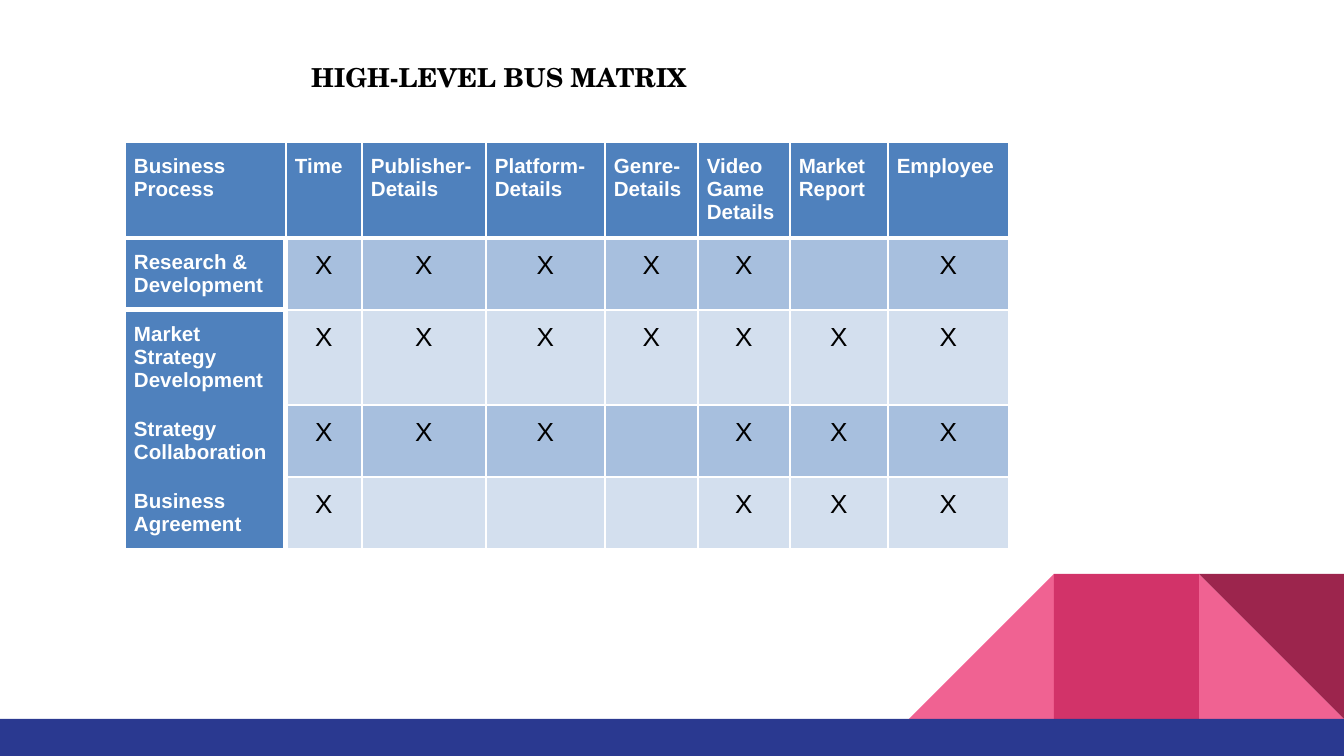
"""Build the high-level bus matrix slide."""
from dataclasses import dataclass
from lxml.etree import SubElement
from pptx import Presentation
from pptx.dml.color import RGBColor
from pptx.enum.shapes import MSO_SHAPE
from pptx.enum.text import MSO_ANCHOR, PP_ALIGN
from pptx.oxml.ns import qn
from pptx.util import Emu, Pt


@dataclass(frozen=True)
class Theme:
    white: str = "FFFFFF"
    black: str = "000000"
    head: str = "4F81BD"
    bands: tuple = ("A7BFDE", "D3DFEE")
    pink: str = "F06292"
    rose: str = "D23369"
    wine: str = "9C254D"
    navy: str = "2A3990"
    title_font: str = "TeX Gyre Schola"
    body_font: str = "Arial"
    title_size: int = 14
    label_size: int = 11
    mark_size: int = 14


T = Theme()
HEADERS = ["Business Process", "Time", "Publisher-Details", "Platform-Details",
           "Genre-Details", "Video Game Details", "Market Report", "Employee"]
PROCESSES = [
    ("Research & Development", "XXXXX X"),
    ("Market Strategy Development", "XXXXXXX"),
    ("Strategy Collaboration", "XXX XXX"),
    ("Business Agreement", "X   XXX"),
]
COL_WIDTHS = [161, 76, 124, 119, 93, 92, 98, 121]
ROW_HEIGHTS = [96, 72, 95, 72, 72]


def px(n):
    return Emu(round(n * 9144000 / 1344))


def style_run(p, font, size, color, bold):
    for r in p.runs:
        r.font.name = font
        r.font.size = Pt(size)
        r.font.bold = bold
        r.font.color.rgb = RGBColor.from_string(color)


prs = Presentation()
prs.slide_width, prs.slide_height = px(1344), px(756)
s = prs.slides.add_slide(prs.slide_layouts[5])

title = s.shapes.title
title.left, title.top, title.width, title.height = px(298), px(54), px(441), px(46)
tf = title.text_frame
tf.text = "HIGH-LEVEL BUS MATRIX"
tf.word_wrap = True
tf.vertical_anchor = MSO_ANCHOR.MIDDLE
tf.margin_left = tf.margin_right = px(13)
tf.margin_top = tf.margin_bottom = 0
tf.paragraphs[0].alignment = PP_ALIGN.LEFT
style_run(tf.paragraphs[0], T.title_font, T.title_size, T.black, True)

side, top = 145, 574
for kind, x, y, w, h, rotation, color in [
    (MSO_SHAPE.RIGHT_TRIANGLE, 1344 - side, top, side, side, 0, T.pink),
    (MSO_SHAPE.RIGHT_TRIANGLE, 1344 - 3 * side, top, side, side, 270, T.pink),
    (MSO_SHAPE.RECTANGLE, 1344 - 2 * side, top, side, side, 0, T.rose),
    (MSO_SHAPE.RIGHT_TRIANGLE, 1344 - side, top, side, side, 180, T.wine),
    (MSO_SHAPE.RECTANGLE, 0, top + side, 1344, 37, 0, T.navy),
]:
    sp = s.shapes.add_shape(kind, px(x), px(y), px(w), px(h))
    sp.rotation = rotation
    sp.shadow.inherit = False
    sp.fill.solid()
    sp.fill.fore_color.rgb = RGBColor.from_string(color)
    sp.line.fill.background()

rows = [HEADERS] + [[name, *marks] for name, marks in PROCESSES]
table = s.shapes.add_table(len(rows), len(HEADERS), px(125), px(142),
                           px(sum(COL_WIDTHS)), px(sum(ROW_HEIGHTS))).table
for column, width in zip(table.columns, COL_WIDTHS):
    column.width = px(width)
for row, height in zip(table.rows, ROW_HEIGHTS):
    row.height = px(height)

for i, values in enumerate(rows):
    for j, value in enumerate(values):
        cell = table.cell(i, j)
        label = i == 0 or j == 0
        cell.margin_left = cell.margin_right = px(9)
        cell.margin_top = cell.margin_bottom = px(13)
        cell.text = value.strip()
        p = cell.text_frame.paragraphs[0]
        p.alignment = PP_ALIGN.LEFT if label else PP_ALIGN.CENTER
        style_run(p, T.body_font, T.label_size if label else T.mark_size,
                  T.white if label else T.black, label)

        across = [1, 3, 3, 0, 0, 1] if j == 0 else [1, 3, 1, 1, 1, 1]
        down = [1, 3 if i else 1] + [1] * (len(HEADERS) - 1)
        tc_pr = cell._tc.get_or_add_tcPr()
        for tag, width in [("a:lnL", down[j]), ("a:lnR", down[j + 1]),
                           ("a:lnT", across[i]), ("a:lnB", across[i + 1])]:
            ln = SubElement(tc_pr, qn(tag), w=str(Pt(width)))
            if width:
                fill = SubElement(ln, qn("a:solidFill"))
                SubElement(fill, qn("a:srgbClr"), val=T.white)
            else:
                SubElement(ln, qn("a:noFill"))
        cell.fill.solid()
        color = T.head if label else T.bands[(i - 1) % 2]
        cell.fill.fore_color.rgb = RGBColor.from_string(color)

prs.save("out.pptx")
